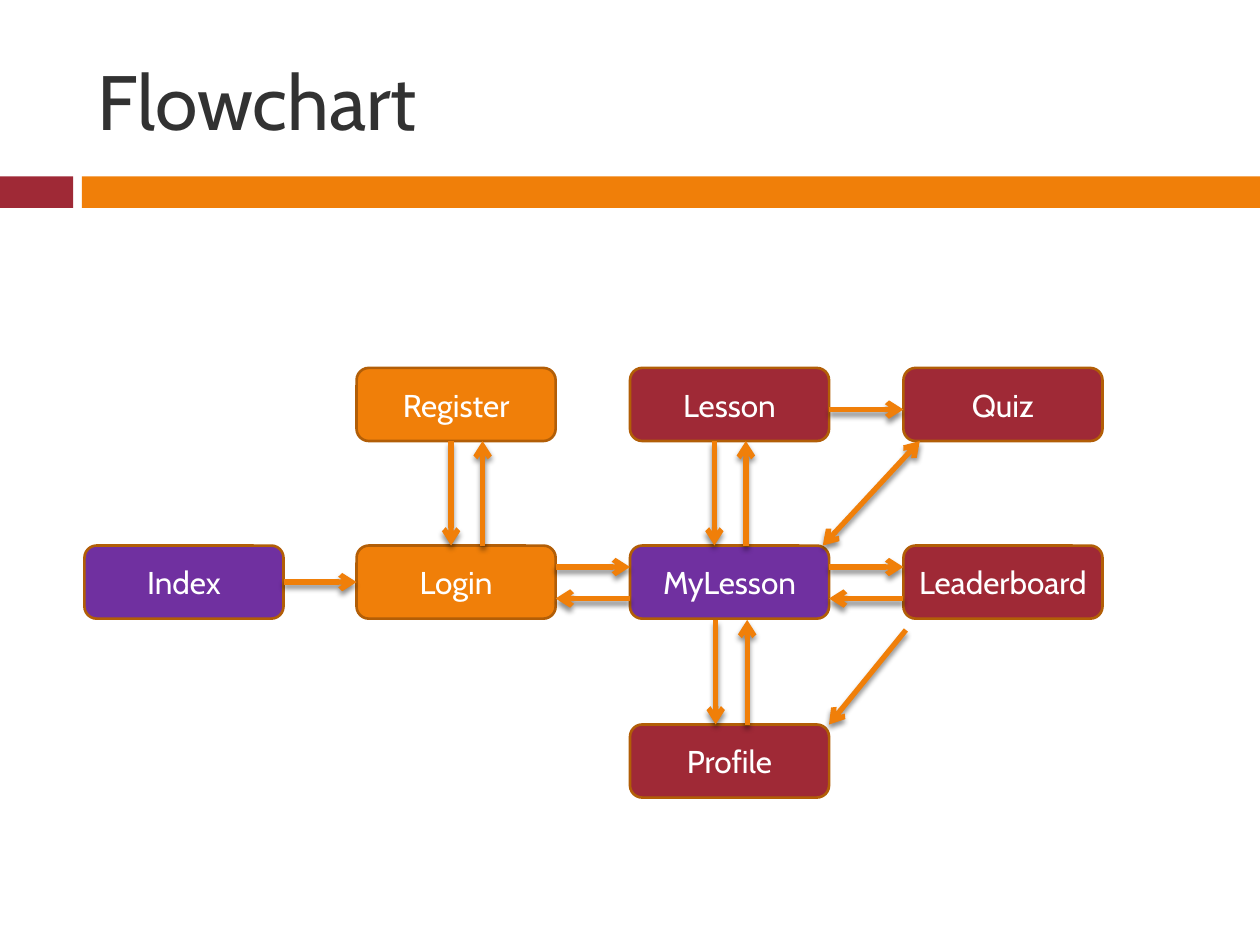
from lxml.etree import SubElement
from pptx import Presentation
from pptx.dml.color import RGBColor
from pptx.enum.shapes import MSO_CONNECTOR as Connector, MSO_SHAPE as Shape
from pptx.enum.text import MSO_ANCHOR as Anchor, PP_ALIGN as Align
from pptx.oxml.ns import qn
from pptx.util import Inches, Pt

FONT = "Cabin"
COLORS = {
    "red": "9F2936",
    "orange": "F07F09",
    "purple": "7030A0",
    "outline": "B25E07",
    "title": "323232",
    "white": "FFFFFF",
    "shadow": "000000",
}
COLUMNS = (0.67, 2.83, 5, 7.17)
ROWS = (2.92, 4.33, 5.75)
BOX_WIDTH, BOX_HEIGHT = 1.58, 0.58
BOX_MARGIN = 0.05

BOXES = [
    ("Index", 0, 1, "purple"),
    ("Login", 1, 1, "orange"),
    ("Register", 1, 0, "orange"),
    ("MyLesson", 2, 1, "purple"),
    ("Lesson", 2, 0, "red"),
    ("Leaderboard", 3, 1, "red"),
    ("Profile", 2, 2, "red"),
    ("Quiz", 3, 0, "red"),
]
VERTICAL_PAIRS = [(3.58, 3.5, 4.33), (5.67, 3.5, 4.33), (5.68, 4.92, 5.75)]
HORIZONTAL_PAIRS = [(4.41, 5), (6.58, 7.17)]
PAIR_GAP = 0.25


def color(name):
    return RGBColor.from_string(COLORS[name])


def add_run(paragraph, text, size, color_name):
    run = paragraph.add_run()
    run.text = text
    run.font.name = FONT
    run.font.size = Pt(size)
    run.font.color.rgb = color(color_name)


def add_title(slide, text):
    title = slide.shapes.title
    title.left, title.top = Inches(0.67), Inches(0.25)
    title.width, title.height = Inches(8.92), Inches(1.08)
    title.text_frame.vertical_anchor = Anchor.MIDDLE
    paragraph = title.text_frame.paragraphs[0]
    paragraph.alignment = Align.LEFT
    add_run(paragraph, text, 44, "title")


def add_filled(slide, kind, left, top, width, height, fill):
    shape = slide.shapes.add_shape(
        kind, Inches(left), Inches(top), Inches(width), Inches(height)
    )
    shape.shadow.inherit = False
    shape.fill.solid()
    shape.fill.fore_color.rgb = color(fill)
    return shape


def add_band(slide, left, width, fill):
    band = add_filled(slide, Shape.RECTANGLE, left, 1.4, width, 0.25, fill)
    band.line.fill.background()


def add_box(slide, text, column, row, fill):
    box = add_filled(slide, Shape.ROUNDED_RECTANGLE, COLUMNS[column], ROWS[row],
                     BOX_WIDTH, BOX_HEIGHT, fill)
    box.line.color.rgb = color("outline")
    box.line.width = Pt(1.5)
    frame = box.text_frame
    frame.margin_left = frame.margin_right = Inches(BOX_MARGIN)
    frame.vertical_anchor = Anchor.MIDDLE
    paragraph = frame.paragraphs[0]
    paragraph.alignment = Align.CENTER
    add_run(paragraph, text, 18, "white")


def add_shadow(connector):
    effects = SubElement(connector.element.spPr, qn("a:effectLst"))
    shadow = SubElement(effects, qn("a:outerShdw"), blurRad=str(Pt(3)),
                        dist=str(Pt(2.4)), dir="5400000", rotWithShape="0")
    tint = SubElement(shadow, qn("a:srgbClr"), val=COLORS["shadow"])
    SubElement(tint, qn("a:alpha"), val="45000")


def add_arrow(slide, start, end, both_ends=False):
    points = [Inches(value) for value in (*start, *end)]
    connector = slide.shapes.add_connector(Connector.STRAIGHT, *points)
    connector.line.color.rgb = color("orange")
    connector.line.width = Pt(3)
    outline = connector.element.spPr.find(qn("a:ln"))
    if both_ends:
        SubElement(outline, qn("a:headEnd"), type="arrow")
    SubElement(outline, qn("a:tailEnd"), type="arrow")
    add_shadow(connector)


def add_arrows(slide):
    add_arrow(slide, (2.25, 4.62), (2.83, 4.62))
    for x, top, bottom in VERTICAL_PAIRS:
        add_arrow(slide, (x, top), (x, bottom))
        add_arrow(slide, (x + PAIR_GAP, bottom), (x + PAIR_GAP, top))
    for left, right in HORIZONTAL_PAIRS:
        add_arrow(slide, (left, 4.5), (right, 4.5))
        add_arrow(slide, (right, 4.5 + PAIR_GAP), (left, 4.5 + PAIR_GAP))
    add_arrow(slide, (6.58, 3.25), (7.17, 3.25))
    add_arrow(slide, (7.3, 3.5), (6.53, 4.33), both_ends=True)
    add_arrow(slide, (7.19, 5), (6.58, 5.75))


def main():
    presentation = Presentation()
    presentation.slide_width = Inches(10)
    presentation.slide_height = Inches(7.5)
    slide = presentation.slides.add_slide(presentation.slide_layouts[5])
    add_band(slide, 0, 0.58, "red")
    add_band(slide, 0.65, 9.35, "orange")
    add_title(slide, "Flowchart")
    for box in BOXES:
        add_box(slide, *box)
    add_arrows(slide)
    presentation.save("out.pptx")


if __name__ == "__main__":
    main()
